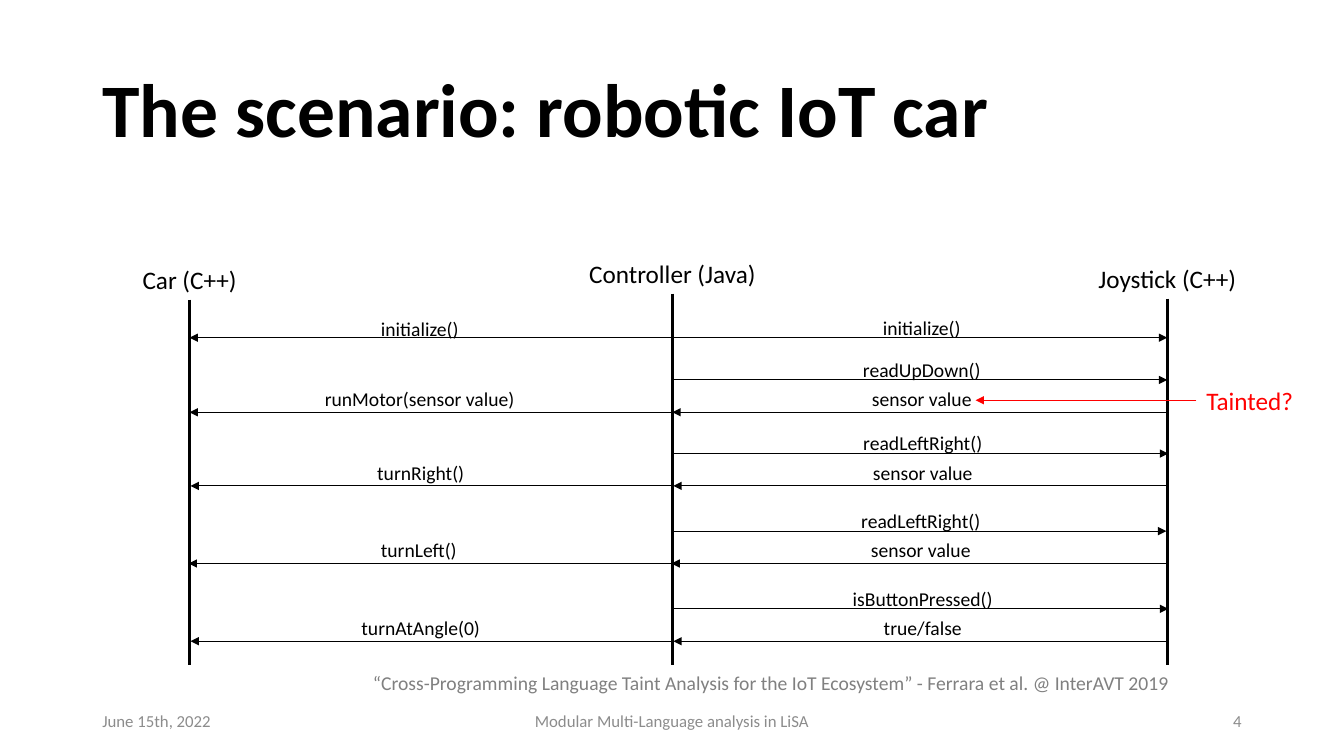
from pptx import Presentation
from pptx.dml.color import RGBColor
from pptx.enum.shapes import MSO_CONNECTOR
from pptx.enum.text import MSO_ANCHOR, PP_ALIGN
from pptx.oxml.ns import qn
from pptx.util import Pt
from lxml import etree

BLACK = RGBColor(0x00, 0x00, 0x00)
RED = RGBColor(0xFF, 0x00, 0x00)
FOOTER_GRAY = RGBColor(0x8C, 0x8C, 0x8C)
CITATION_GRAY = RGBColor(0x80, 0x80, 0x80)
LEFT, CENTER, RIGHT = PP_ALIGN.LEFT, PP_ALIGN.CENTER, PP_ALIGN.RIGHT
TOP, MIDDLE = MSO_ANCHOR.TOP, MSO_ANCHOR.MIDDLE
STRAIGHT = MSO_CONNECTOR.STRAIGHT
FONT = "Calibri"

LABEL_WIDTH = 152.6
HEADER_HEIGHT = 29
REPLY_DELAY = 23.1
# Name and drop of its header below the top of the diagram
PARTICIPANTS = [("Car (C++)", 4.3), ("Controller (Java)", 0), ("Joystick (C++)", 3.6)]
# Request, reply, command to the car, time below the top, sideways shift
ROUNDS = [
    ("readUpDown()", "sensor value", "runMotor(sensor value)", 90.7, 0),
    ("readLeftRight()", "sensor value", "turnRight()", 143.3, 0.7),
    ("readLeftRight()", "sensor value", "turnLeft()", 198.7, -0.7),
    ("isButtonPressed()", "true/false", "turnAtAngle(0)", 254.2, 0.7),
]


def write_text(shape, text, size=14, color=BLACK, bold=False, align=CENTER,
               anchor=TOP, line_spacing=None):
    frame = shape.text_frame
    frame.word_wrap = True
    frame.vertical_anchor = anchor
    paragraph = frame.paragraphs[0]
    paragraph.text = text
    paragraph.alignment = align
    paragraph.line_spacing = line_spacing
    font = paragraph.font
    font.name, font.size, font.bold = FONT, Pt(size), bold
    font.color.rgb = color


def add_text(slide, box, text, **text_format):
    shape = slide.shapes.add_textbox(*(Pt(length) for length in box))
    write_text(shape, text, **text_format)


def add_line(slide, start, end, color=BLACK, width=0.75, arrow=True):
    line = slide.shapes.add_connector(STRAIGHT, *(Pt(value) for value in (*start, *end)))
    line.line.color.rgb = color
    line.line.width = Pt(width)
    if arrow:
        etree.SubElement(line.line._get_or_add_ln(), qn("a:tailEnd"), type="triangle")
    etree.SubElement(line._element.spPr, qn("a:effectLst"))


def add_message(slide, text, sender, receiver, y, label_center, label_rise):
    add_line(slide, (sender, y), (receiver, y))
    add_text(slide, (label_center - LABEL_WIDTH / 2, y - label_rise, LABEL_WIDTH, 24.2), text)


def add_title(slide, box):
    title = slide.shapes.title
    title.left, title.top, title.width, title.height = (Pt(length) for length in box)
    write_text(title, "The scenario: robotic IoT car", size=54, bold=True, align=LEFT,
               anchor=MIDDLE, line_spacing=0.9)


def add_sequence_diagram(slide, box):
    left, top, width, height = box
    car, controller, joystick = left, left + 344.9, left + width
    car_label = (car + controller) / 2 - 8
    joystick_label = (controller + joystick) / 2 + 1.4

    for (name, drop), x in zip(PARTICIPANTS, (car, controller, joystick)):
        add_text(slide, (x - 68.8, top + drop, 137.6, HEADER_HEIGHT), name, size=18)
        add_line(slide, (x, top + drop + HEADER_HEIGHT), (x, top + height),
                 width=2, arrow=False)

    start = top + 60.5
    add_message(slide, "initialize()", controller, joystick, start, joystick_label, 19.4)
    add_message(slide, "initialize()", controller, car, start, car_label, 18.7)

    for request, reply, command, time, shift in ROUNDS:
        sent, answered = top + time, top + time + REPLY_DELAY
        near, middle, far = car + shift, controller + shift, joystick + shift
        add_message(slide, request, middle, far, sent, joystick_label + shift, 19.4)
        add_message(slide, reply, far, middle, answered, joystick_label + shift, 21.6)
        add_message(slide, command, middle, near, answered, car_label + shift, 21.6)


def add_taint_note(slide, box):
    left, top, width, height = box
    add_text(slide, box, "Tainted?", size=18, color=RED, align=LEFT)
    y = top + height / 2
    add_line(slide, (left, y), (left - 157.7, y), color=RED)


def add_footer(slide, box):
    left, top, width, height = box
    parts = [
        ("June 15th, 2022", left, 216, LEFT),
        ("Modular Multi-Language analysis in LiSA", left + (width - 324) / 2, 324, CENTER),
        ("4", left + width - 216, 216, RIGHT),
    ]
    for text, part_left, part_width, align in parts:
        add_text(slide, (part_left, top, part_width, height), text, size=12,
                 color=FOOTER_GRAY, align=align, anchor=MIDDLE)


def main():
    presentation = Presentation()
    presentation.slide_width, presentation.slide_height = Pt(960), Pt(540)
    slide = presentation.slides.add_slide(presentation.slide_layouts[5])
    add_title(slide, (66, 28.8, 828, 104.4))
    add_sequence_diagram(slide, (135.4, 180.7, 698.4, 294.5))
    add_taint_note(slide, (854.6, 271.4, 78.5, 29))
    add_text(slide, (255.6, 477.4, 586.8, 37.4),
             "“Cross-Programming Language Taint Analysis for the IoT Ecosystem” "
             "- Ferrara et al. @ InterAVT 2019",
             color=CITATION_GRAY, align=RIGHT, line_spacing=0.9)
    add_footer(slide, (66, 500.5, 828, 28.8))
    presentation.save("out.pptx")


if __name__ == "__main__":
    main()
